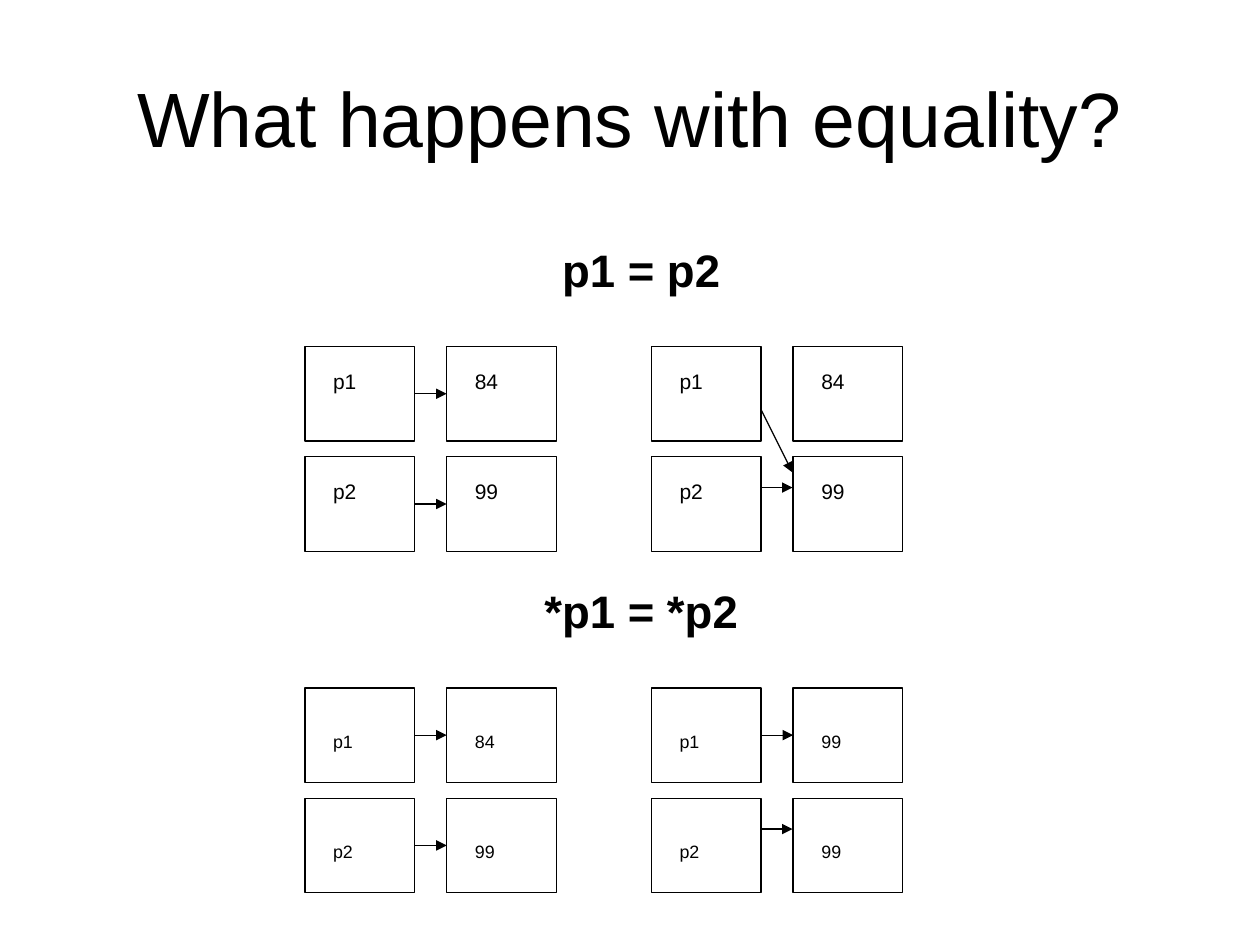
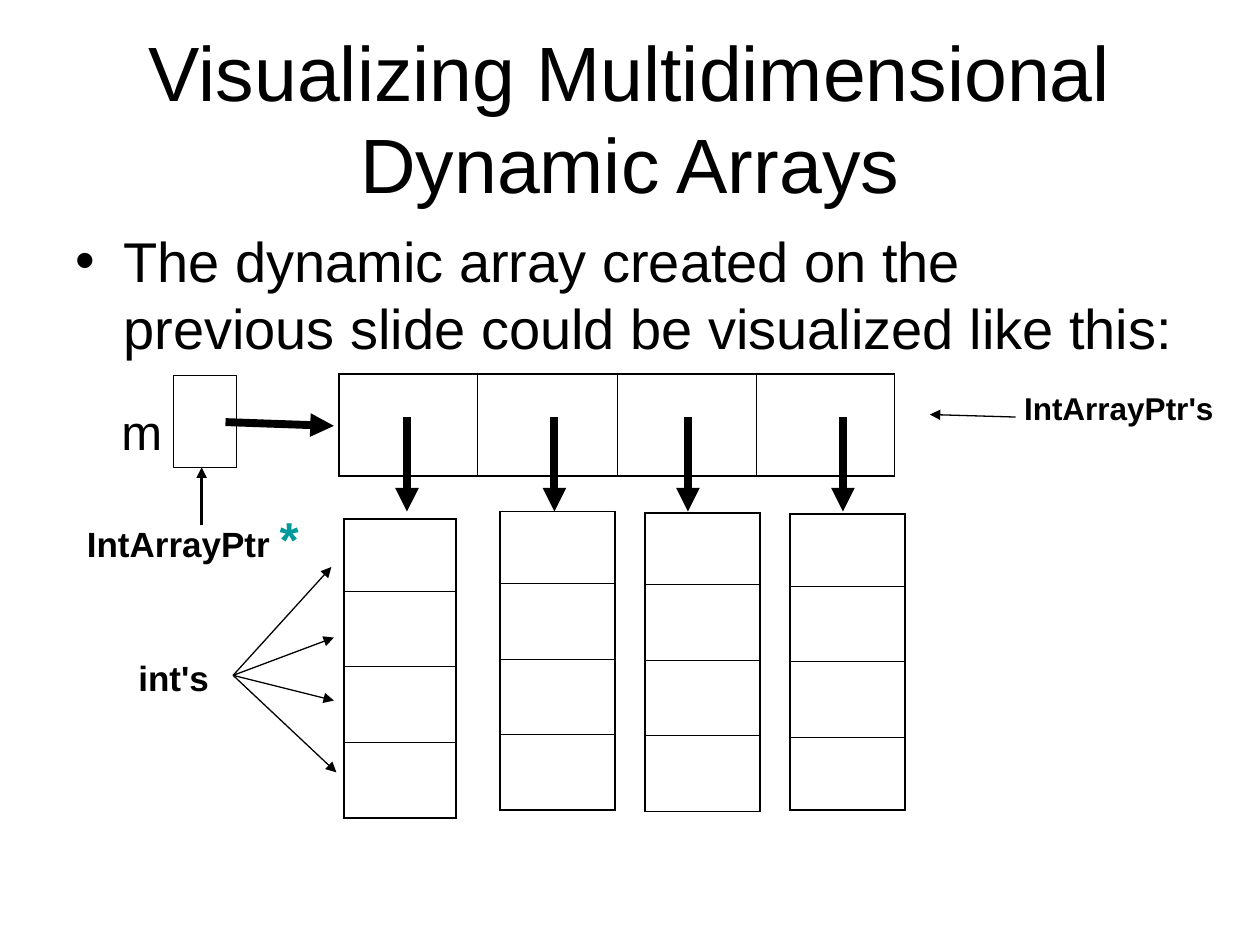
from lxml import etree
from pptx import Presentation
from pptx.dml.color import RGBColor
from pptx.enum.shapes import MSO_CONNECTOR, MSO_SHAPE
from pptx.enum.text import MSO_ANCHOR, MSO_AUTO_SIZE, PP_ALIGN
from pptx.oxml.ns import qn
from pptx.util import Inches, Pt

RECT = MSO_SHAPE.RECTANGLE
STRAIGHT = MSO_CONNECTOR.STRAIGHT
LEFT, CENTER = PP_ALIGN.LEFT, PP_ALIGN.CENTER
TOP, MIDDLE = MSO_ANCHOR.TOP, MSO_ANCHOR.MIDDLE
GROW, FIXED = MSO_AUTO_SIZE.SHAPE_TO_FIT_TEXT, MSO_AUTO_SIZE.NONE
LEFT_SIDE, RIGHT_SIDE = 1, 3

COLORS = {"ink": "000000", "paper": "FFFFFF", "star": "009999"}
FONT = "Arial"
TITLE_AREA = (0.5, 0.3, 9, 1.25)
THIN, MEDIUM, THICK = 0.75, 1.5, 4.5
OUTER_BORDER, INNER_BORDER = 1.08, 0.45

# Pointer diagrams: boxes in two rows, a "before" and an "after" pair of columns
BOX_W, BOX_H = 0.87, 0.75
ROW_STEP, TARGET_STEP = 0.875, 1.125
BEFORE_X, AFTER_X = 2.42, 5.17
LABEL_INSET = 0.125


def color(key):
    return RGBColor.from_string(COLORS[key])


def inches(*lengths):
    return [Inches(length) for length in lengths]


def apply(target, values):
    for attribute, value in values.items():
        setattr(target, attribute, value)


# ---- Text and boxes ----

def write(shape, runs, align=LEFT, anchor=TOP, wrap=True, fit=FIXED,
          before=0, inset_top=0.05):
    """Fill a shape with one paragraph; runs are (text, size, bold, colour key)."""
    frame = shape.text_frame
    apply(frame, {"word_wrap": wrap, "auto_size": fit, "vertical_anchor": anchor,
                  "margin_left": Inches(0.1), "margin_right": Inches(0.1),
                  "margin_top": Inches(inset_top), "margin_bottom": Inches(0.05)})
    paragraph = frame.paragraphs[0]
    apply(paragraph, {"alignment": align, "space_before": Pt(before)})
    for text, size, bold, ink in runs:
        run = paragraph.add_run()
        run.text = text
        apply(run.font, {"name": FONT, "size": Pt(size), "bold": bold})
        run.font.color.rgb = color(ink)
    return paragraph


def add_text(slide, area, runs, **layout):
    return write(slide.shapes.add_textbox(*inches(*area)), runs, **layout)


def add_title(slide, text):
    add_text(slide, TITLE_AREA, [(text, 44, False, "ink")], align=CENTER, anchor=MIDDLE)


def add_bullet(slide, area, text):
    paragraph = add_text(slide, area, [(text, 32, False, "ink")], before=8)
    properties = paragraph._p.get_or_add_pPr()
    properties.set("marL", str(Inches(0.38)))
    properties.set("indent", str(Inches(-0.38)))
    etree.SubElement(properties, qn("a:buFont")).set("typeface", FONT)
    etree.SubElement(properties, qn("a:buChar")).set("char", "•")


def add_box(slide, area, filled=True, outlined=True):
    box = slide.shapes.add_shape(RECT, *inches(*area))
    box.shadow.inherit = False
    if filled:
        box.fill.solid()
        box.fill.fore_color.rgb = color("paper")
    else:
        box.fill.background()
    if outlined:
        box.line.color.rgb = color("ink")
        box.line.width = Pt(THIN)
    else:
        box.line.fill.background()
    return box


# ---- Arrows ----

def add_arrow(slide, start, end, width=THIN):
    arrow = slide.shapes.add_connector(STRAIGHT, *inches(*start, *end))
    arrow.line.color.rgb = color("ink")
    arrow.line.width = Pt(width)
    etree.SubElement(arrow.line._get_or_add_ln(), qn("a:tailEnd")).set("type", "triangle")
    etree.SubElement(arrow._element.spPr, qn("a:effectLst"))
    return arrow


def join_boxes(slide, pointer, target):
    arrow = add_arrow(slide, (0, 0), (0, 0))
    arrow.begin_connect(pointer, RIGHT_SIDE)
    arrow.end_connect(target, LEFT_SIDE)


# ---- Tables ----

def add_grid(slide, left, top, widths, heights):
    """Draw an empty table with a heavier outer border."""
    rows, columns = len(heights), len(widths)
    area = inches(left, top, sum(widths), sum(heights))
    table = slide.shapes.add_table(rows, columns, *area).table
    apply(table, {"first_row": False, "horz_banding": False})
    for column, width in zip(table.columns, widths):
        column.width = Inches(width)
    for row, height in zip(table.rows, heights):
        row.height = Inches(height)
    for r in range(rows):
        for c in range(columns):
            cell = table.cell(r, c)
            outer_sides = {"lnL": c == 0, "lnR": c == columns - 1,
                           "lnT": r == 0, "lnB": r == rows - 1}
            for side, is_outer in outer_sides.items():
                add_border(cell, side, OUTER_BORDER if is_outer else INNER_BORDER)
            cell.fill.background()


def add_border(cell, side, width):
    border = etree.SubElement(cell._tc.get_or_add_tcPr(), qn("a:" + side))
    border.set("w", str(Pt(width)))
    fill = etree.SubElement(border, qn("a:solidFill"))
    etree.SubElement(fill, qn("a:srgbClr")).set("val", COLORS["ink"])


# ---- Pointer diagrams ----

def add_variable(slide, left, top, name, size, label_top):
    box = add_box(slide, (left, top, BOX_W, BOX_H))
    label_area = (left + LABEL_INSET, top + LABEL_INSET, 0.52, 0.45)
    label = add_box(slide, label_area, outlined=False)
    write(label, [(name, size, False, "ink")], inset_top=label_top)
    return box


def add_memory(slide, left, top, values, joined_rows, size, label_top):
    """Draw p1 and p2 beside their values and join the given rows."""
    for row, (name, value) in enumerate(zip(("p1", "p2"), values)):
        y = top + row * ROW_STEP
        pointer, target = [
            add_variable(slide, x, y, text, size, label_top)
            for x, text in ((left, name), (left + TARGET_STEP, value))]
        if row in joined_rows:
            join_boxes(slide, pointer, target)


def add_assignment(slide, heading, heading_top, top, after, after_joined, **label):
    add_memory(slide, BEFORE_X, top, ("84", "99"), (0, 1), **label)
    add_memory(slide, AFTER_X, top, after, after_joined, **label)
    box = add_box(slide, (4.04, heading_top, 2.1, 0.6), outlined=False)
    write(box, [(heading, 26, True, "ink")], align=CENTER)


def build_equality(slide):
    add_title(slide, "What happens with equality?")
    add_assignment(slide, "p1 = p2", 1.87, 2.75, ("84", "99"), (),
                   size=12, label_top=0.05)
    add_assignment(slide, "*p1 = *p2", 4.58, 5.46, ("99", "99"), (0,),
                   size=10.2, label_top=0.21)
    # Arrows that meet the boxes away from the middle of a side
    for start_y, end_y in ((3.25, 3.75), (3.87, 3.87), (6.58, 6.58)):
        add_arrow(slide, (6.04, start_y), (6.29, end_y))


# ---- Array of arrays ----

def build_arrays(slide):
    add_title(slide, "Visualizing Multidimensional Dynamic Arrays")
    add_bullet(slide, (0.5, 1.75, 9, 4.95),
               "The dynamic array created on the previous slide "
               "could be visualized like this:")

    # Pointer m and the array of pointers
    add_grid(slide, 2.69, 2.97, [1.1, 1.11, 1.1, 1.1], [0.81])
    add_text(slide, (0.86, 3.14, 0.53, 0.57), [("m", 28, False, "ink")],
             align=CENTER, fit=GROW, before=7)
    add_box(slide, (1.38, 2.98, 0.5, 0.73), filled=False)
    add_arrow(slide, (1.79, 3.35), (2.65, 3.38), THICK)

    # Integer arrays: left, top, width, last row height, x of the arrow above
    int_arrays = [(2.73, 4.12, 0.89, 0.6, 3.23), (3.97, 4.06, 0.91, 0.6, 4.4),
                  (5.12, 4.07, 0.91, 0.6, 5.46), (6.27, 4.08, 0.91, 0.58, 6.69)]
    for left, top, width, last_height, arrow_x in int_arrays:
        add_grid(slide, left, top, [width], [0.57, 0.6, 0.6, last_height])
        add_arrow(slide, (arrow_x, 3.31), (arrow_x, 4.06), THICK)

    # Type labels
    labels = [
        ((7.98, 3.04, 1.8, 0.4), 4.5, [("IntArrayPtr's", 18, True, "ink")]),
        ((0.92, 5.16, 0.84, 0.44), 5, [(" int's", 20, True, "ink")]),
        ((0.59, 3.99, 1.88, 0.57), 7, [("IntArrayPtr ", 20, True, "ink"),
                                       ("*", 28, True, "star")]),
    ]
    for area, before, runs in labels:
        add_text(slide, area, runs, align=CENTER, wrap=False, fit=GROW, before=before)

    # Arrows from the labels
    add_arrow(slide, (8.06, 3.31), (7.38, 3.29))
    add_arrow(slide, (1.6, 4.17), (1.6, 3.71), MEDIUM)
    for int_cell in ((2.63, 4.5), (2.65, 5.06), (2.65, 5.56), (2.67, 6.13)):
        add_arrow(slide, (1.85, 5.36), int_cell)


def main():
    presentation = Presentation()
    apply(presentation, {"slide_width": Inches(10), "slide_height": Inches(7.5)})
    blank = presentation.slide_layouts[6]
    for build in (build_equality, build_arrays):
        build(presentation.slides.add_slide(blank))
    presentation.save("out.pptx")


if __name__ == "__main__":
    main()
